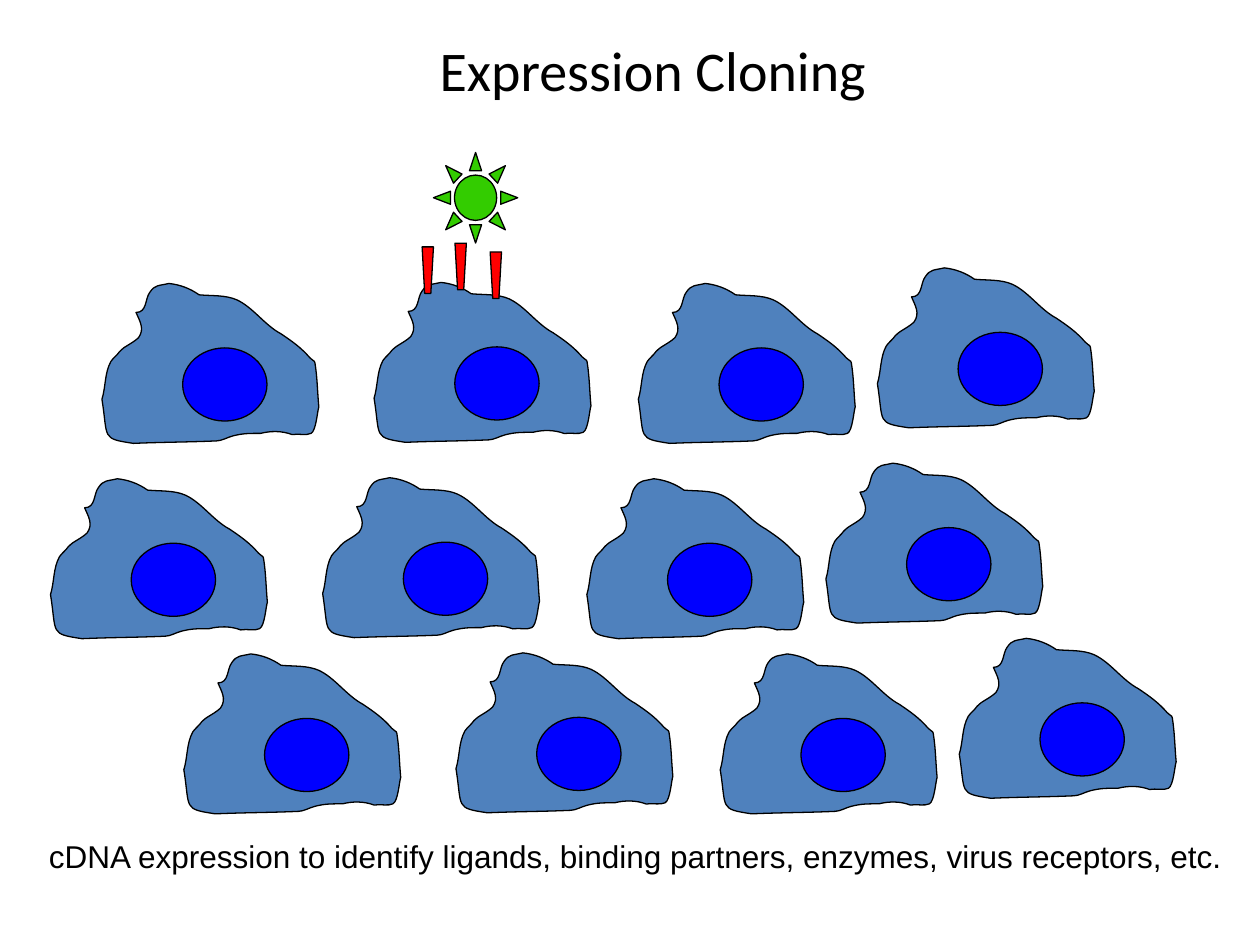
from lxml import etree
from pptx import Presentation
from pptx.dml.color import RGBColor
from pptx.enum import shapes, text
from pptx.oxml.ns import qn
from pptx.util import Pt

CELL_FILL, NUCLEUS_FILL = "4F81BD", "0000FF"
RECEPTOR_FILL, LIGAND_FILL = "FF0000", "33CC00"
BLACK = "000000"

# text, font, size, (left, top, width, height)
TITLE = ("Expression Cloning", "Calibri", 32, (244.1, 16.6, 258.5, 46.1))
CAPTION = ("cDNA expression to identify ligands, binding partners, enzymes, "
           "virus receptors, etc.", "Arial", 18, (20.9, 474.5, 685.4, 28.8))

ROWS = [(57.6, 162), (28.2, 273.6), (104.4, 373.7)]
COLUMNS = [(0, 0), (155.5, -0.6), (306.5, 0), (443.1, -8.9)]
NUCLEUS = (46.8, 36.8, 48.2, 41.8)
LIGAND = (247.7, 87.1, 48.2, 51.8)
RECEPTORS = [(260, 139), (280.1, 144), (241.2, 141.1)]
RECEPTOR_OUTLINE = [(0, 0), (6.5, 0), (5, 26.6), (1.5, 26.6)]

# Start point, then three Bezier points (two controls and an end) per line
CELL_OUTLINE = [
    (20.2, 16.6),
    (22.3, 21.6), (25.2, 25.9), (21.6, 31),
    (19.4, 33.1), (16.6, 34.6), (14.4, 36),
    (13, 36.7), (10.8, 38.9), (10.8, 38.9),
    (9.4, 41), (7.2, 42.5), (5.8, 44.6),
    (2.2, 51.1), (2.9, 59), (0.7, 66.2),
    (4.3, 88.6), (0, 88.6), (18.7, 91.4),
    (34.6, 90.7), (50.4, 90.7), (66.2, 90),
    (69.1, 90), (72.7, 87.8), (75.6, 87.1),
    (81.4, 85.7), (84.2, 85.7), (91.4, 85.7),
    (97.2, 84.2), (103.7, 84.2), (109.4, 86.4),
    (113, 85.7), (117.4, 87.1), (120.2, 85.7),
    (123.1, 84.2), (123.8, 72.7), (124.6, 70.6),
    (123.8, 61.9), (123.8, 54), (122.4, 45.4),
    (122.4, 43.9), (120.2, 43.9), (119.5, 42.5),
    (114.5, 36.7), (109.4, 33.1), (103, 28.8),
    (93.6, 23.8), (87.1, 13.7), (77.8, 9.4),
    (71.3, 6.5), (63.4, 7.2), (56.2, 6.5),
    (51.1, 2.9), (45.4, 0.7), (38.9, 0),
    (33.1, 1.4), (31, 0.7), (28.1, 5),
    (25.2, 8.6), (26.6, 16.6), (20.2, 16.6),
]


def color(value):
    return RGBColor.from_string(value)


def paint(shape, fill):
    shape.shadow.inherit = False
    shape.fill.solid()
    shape.fill.fore_color.rgb = color(fill)
    shape.line.color.rgb = color(BLACK)
    shape.line.width = Pt(0.75)


def add_preset(slide, kind, bounds, fill):
    shape = slide.shapes.add_shape(kind, *map(Pt, bounds))
    paint(shape, fill)


def add_outline(slide, points, left, top, fill):
    start, *rest = [(Pt(left + x), Pt(top + y)) for x, y in points]
    builder = slide.shapes.build_freeform(*start)
    builder.add_line_segments(rest, close=True)
    shape = builder.convert_to_shape()
    paint(shape, fill)
    return shape


def bend(shape):
    """Turn each three line segments into one cubic Bezier curve."""
    lines = list(shape.element.iter(qn("a:lnTo")))
    for first in range(0, len(lines) - 2, 3):
        curve = etree.Element(qn("a:cubicBezTo"))
        lines[first].addprevious(curve)
        for line in lines[first:first + 3]:
            curve.append(line[0])
            line.getparent().remove(line)


def add_text(slide, words, font, size, bounds):
    box = slide.shapes.add_textbox(*map(Pt, bounds))
    box.text_frame.word_wrap = False
    box.text_frame.auto_size = text.MSO_AUTO_SIZE.SHAPE_TO_FIT_TEXT
    para = box.text_frame.paragraphs[0]
    para.text = words
    para.font.name = font
    para.font.size = Pt(size)
    para.font.color.rgb = color(BLACK)


def main():
    deck = Presentation()
    deck.slide_width, deck.slide_height = Pt(720), Pt(540)
    slide = deck.slides.add_slide(deck.slide_layouts[6])

    add_text(slide, *TITLE)
    for row_left, row_top in ROWS:
        for shift, rise in COLUMNS:
            left, top = row_left + shift, row_top + rise
            bend(add_outline(slide, CELL_OUTLINE, left, top, CELL_FILL))
            x, y, width, height = NUCLEUS
            add_preset(slide, shapes.MSO_SHAPE.OVAL,
                       (left + x, top + y, width, height), NUCLEUS_FILL)
    for left, top in RECEPTORS:
        add_outline(slide, RECEPTOR_OUTLINE, left, top, RECEPTOR_FILL)
    add_preset(slide, shapes.MSO_SHAPE.SUN, LIGAND, LIGAND_FILL)
    add_text(slide, *CAPTION)

    deck.save("out.pptx")


if __name__ == "__main__":
    main()
